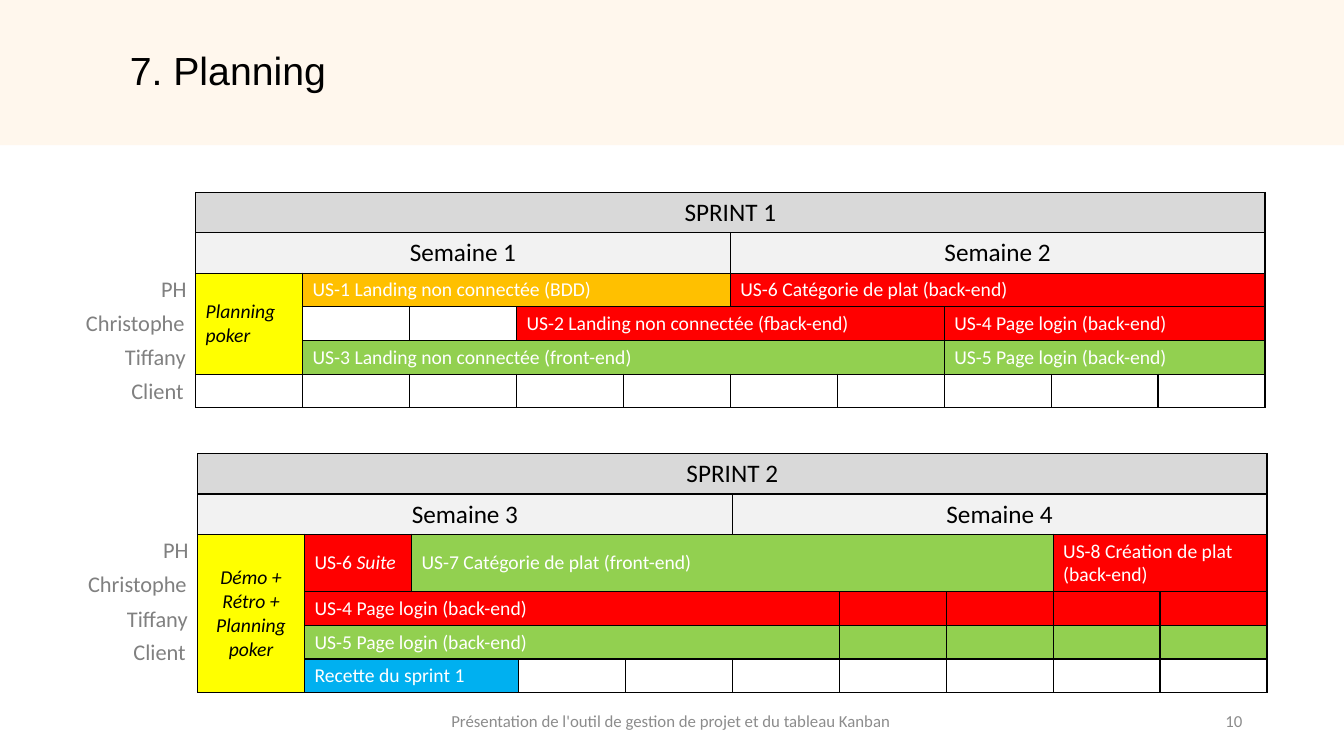
from pptx import Presentation
from pptx import util as u
from pptx.dml.color import RGBColor
from pptx.enum import shapes, text
from pptx.oxml.ns import qn
from lxml import etree

LEFT, CENTER, RIGHT = text.PP_ALIGN.LEFT, text.PP_ALIGN.CENTER, text.PP_ALIGN.RIGHT
TOP, MIDDLE = text.MSO_ANCHOR.TOP, text.MSO_ANCHOR.MIDDLE
RED, GREEN, ORANGE, BLUE, YELLOW = "FF0000", "92D050", "FFC000", "00B0F0", "FFFF00"
BLACK, WHITE, GREY = "000000", "FFFFFF", "808080"
DAYS = 10
TEAM = [("PH", 77, 1), ("Christophe", 111, -1), ("Tiffany", 145, 0), ("Client", 178, -2)]

SPRINT_1 = [
    (0, 0, 1, 10, "SPRINT 1", "D9D9D9"),
    (1, 0, 1, 5, "Semaine 1", "F2F2F2"),
    (1, 5, 1, 5, "Semaine 2", "F2F2F2"),
    (2, 0, 3, 1, "Planning poker", YELLOW),
    (2, 1, 1, 4, "US-1 Landing non connectée (BDD)", ORANGE),
    (2, 5, 1, 5, "US-6 Catégorie de plat (back-end)", RED),
    (3, 3, 1, 4, "US-2 Landing non connectée (fback-end)", RED),
    (3, 7, 1, 3, "US-4 Page login (back-end)", RED),
    (4, 1, 1, 6, "US-3 Landing non connectée (front-end)", GREEN),
    (4, 7, 1, 3, "US-5 Page login (back-end)", GREEN),
]
SPRINT_2 = [
    (0, 0, 1, 10, "SPRINT 2", "D9D9D9"),
    (1, 0, 1, 5, "Semaine 3", "F2F2F2"),
    (1, 5, 1, 5, "Semaine 4", "F2F2F2"),
    (2, 0, 4, 1, "Démo +\nRétro +\nPlanning poker", YELLOW),
    (2, 1, 1, 1, "US-6 *Suite", RED),
    (2, 2, 1, 6, "US-7 Catégorie de plat (front-end)", GREEN),
    (2, 8, 1, 2, "US-8 Création de plat (back-end)", RED),
    (3, 1, 1, 5, "US-4 Page login (back-end)", RED),
    *[(3, day, 1, 1, "", RED) for day in range(6, DAYS)],
    (4, 1, 1, 5, "US-5 Page login (back-end)", GREEN),
    *[(4, day, 1, 1, "", GREEN) for day in range(6, DAYS)],
    (5, 1, 1, 2, "Recette du sprint 1", BLUE),
]


def px(length):
    """Turn px, a hundred to the inch, into EMU."""
    return u.Emu(length * 9144)


def color(value):
    """Turn a hex string into a colour."""
    return RGBColor.from_string(value)


def write(frame, content, align, size, ink, name="Calibri", italic=False):
    """Fill a text frame; newlines split paragraphs and a star starts italics."""
    for index, line in enumerate(content.split("\n")):
        para = frame.add_paragraph() if index else frame.paragraphs[0]
        para.alignment = align
        for part, words in enumerate(line.split("*")):
            span = para.add_run()
            span.text = words
            style = {"name": name, "size": u.Pt(size), "italic": italic or part > 0}
            for key, value in style.items():
                setattr(span.font, key, value)
            span.font.color.rgb = color(ink)


def add_text(page, box, content, align, size, ink, anchor=TOP, name="Calibri"):
    """Place a wrapping text box and return its first paragraph."""
    frame = page.shapes.add_textbox(*map(px, box)).text_frame
    for key, value in {"word_wrap": True, "vertical_anchor": anchor}.items():
        setattr(frame, key, value)
    write(frame, content, align, size, ink, name)
    return frame.paragraphs[0]


def add_header(page, box):
    """Draw the tinted band with the title."""
    left, top, width, height = box
    band = page.shapes.add_shape(shapes.MSO_SHAPE.RECTANGLE, *map(px, box))
    band.shadow.inherit = False
    band.fill.solid()
    band.fill.fore_color.rgb = color("FFF7ED")
    band.line.fill.background()
    title = add_text(page, (left + 119, top + 46, 1063, 53), "7. Planning",
                     LEFT, 28, BLACK, name="Arial")
    for key, value in {"line_spacing": 0.9, "space_before": u.Pt(10)}.items():
        setattr(title, key, value)


def add_borders(cell):
    """Give a cell thin black edges on all sides."""
    props = cell._tc.get_or_add_tcPr()
    for side in ("a:lnL", "a:lnR", "a:lnT", "a:lnB"):
        line = etree.SubElement(props, qn(side), w=str(u.Pt(1)))
        fill = etree.SubElement(line, qn("a:solidFill"))
        etree.SubElement(fill, qn("a:srgbClr"), val=BLACK)


def add_sprint(page, box, rows, tasks):
    """Draw one sprint table with the team names on its left."""
    left, top, width, height = box
    table = page.shapes.add_table(len(rows), DAYS, *map(px, box)).table
    for key in ("first_row", "horz_banding"):
        setattr(table, key, False)
    for column in table.columns:
        column.width = px(width) // DAYS
    for row, tall in zip(table.rows, rows):
        row.height = px(tall)
    for cell in table.iter_cells():
        add_borders(cell)
        cell.fill.background()
        cell.text_frame.paragraphs[0]._p.get_or_add_endParaRPr().set("sz", "1400")
    for row, day, down, across, content, fill in tasks:
        cell = table.cell(row, day)
        if down * across > 1:
            cell.merge(table.cell(row + down - 1, day + across - 1))
        cell.fill.solid()
        cell.fill.fore_color.rgb = color(fill)
        heading, meeting = row < 2, fill == YELLOW
        cell.vertical_anchor = TOP if heading else MIDDLE
        if content:
            write(cell.text_frame, content,
                  CENTER if heading or "\n" in content else LEFT,
                  18 if heading else 14,
                  BLACK if heading or meeting else WHITE, italic=meeting)
    for member, drop, shift in TEAM:
        add_text(page, (left - 131 + shift, top + drop, 131, 37), member, RIGHT, 16, GREY)


def add_footer(page, box):
    """Place the footer text and the page number."""
    left, top, width, height = box
    add_text(page, (left, top, 463, height),
             "Présentation de l'outil de gestion de projet et du tableau Kanban",
             CENTER, 12, "8C8C8C", MIDDLE)
    add_text(page, (left + width - 300, top, 300, height), "10", RIGHT, 12, "8C8C8C", MIDDLE)


def main():
    """Build the planning slide."""
    deck = Presentation()
    deck.slide_width, deck.slide_height = px(1333), px(750)
    page = deck.slides.add_slide(deck.slide_layouts[6])
    add_header(page, (0, 0, 1333, 144))
    add_sprint(page, (194, 191, 1061, 213), (40, 40, 33, 33, 33, 33), SPRINT_1)
    add_sprint(page, (196, 450, 1061, 237), (40, 40, 57, 33, 33, 33), SPRINT_2)
    add_footer(page, (434, 695, 808, 40))
    deck.save("out.pptx")


if __name__ == "__main__":
    main()
